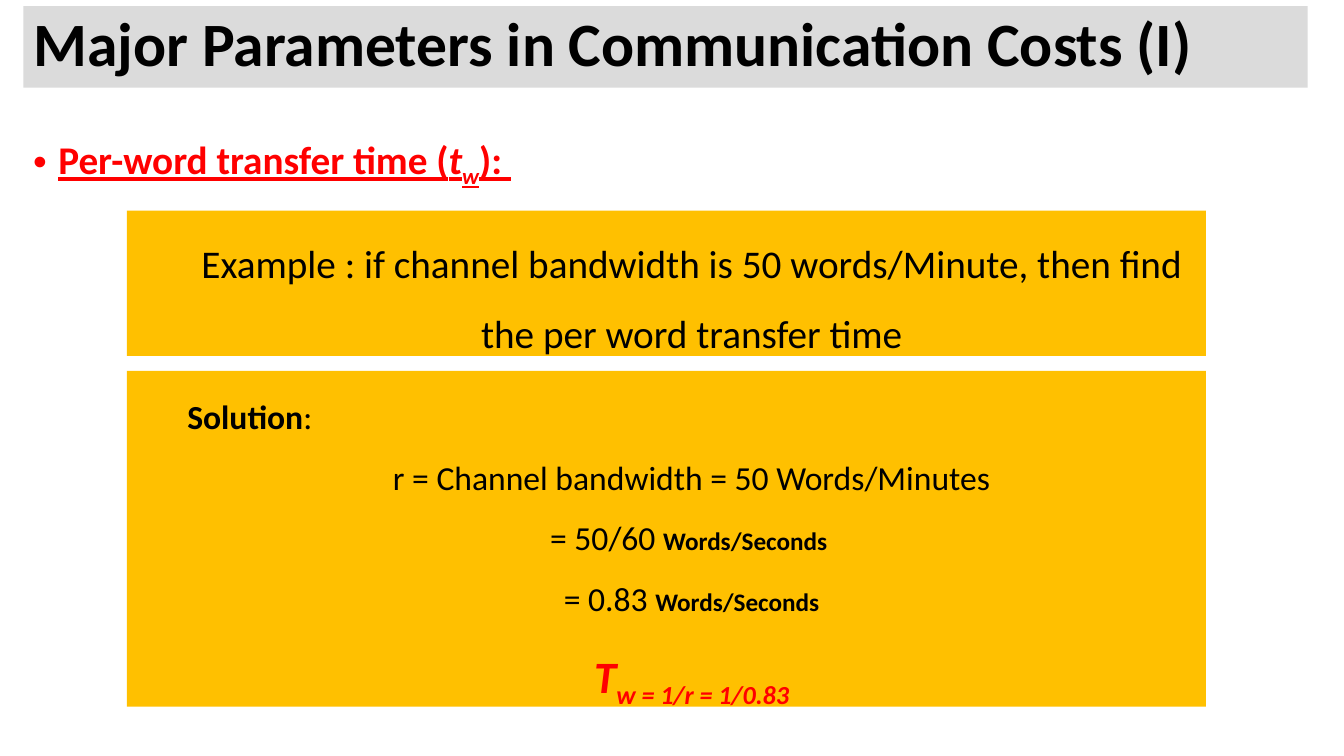
from dataclasses import dataclass

from lxml import etree
from pptx import Presentation, util as u
from pptx.dml.color import RGBColor
from pptx.enum import shapes, text
from pptx.oxml.ns import qn


@dataclass(frozen=True)
class Theme:
    font: str = "Calibri"
    ink: str = "000000"
    accent: str = "FF0000"
    band: str = "DBDBDB"
    panel: str = "FFC000"
    title: int = 44
    lead: int = 28
    body: int = 24
    unit: int = 18
    result: int = 32


class SlideBuilder:
    """Adds styled elements to one slide; areas are percentages of its size."""

    def __init__(self, presentation, theme):
        self.presentation = presentation
        self.theme = theme
        self.slide = presentation.slides.add_slide(presentation.slide_layouts[5])

    def box(self, left, top, width, height):
        across = self.presentation.slide_width / 100
        down = self.presentation.slide_height / 100
        return [u.Emu(round(share * unit)) for share, unit in
                zip((left, top, width, height), (across, down, across, down))]

    def fill(self, shape, color):
        shape.fill.solid()
        shape.fill.fore_color.rgb = RGBColor.from_string(color)

    def set_runs(self, paragraph, runs, size, color=None,
                 alignment=text.PP_ALIGN.LEFT, spacing=1.5, margin=0, indent=0):
        """Fill a paragraph with (wording, format overrides) runs."""
        paragraph.alignment = alignment
        paragraph.line_spacing = spacing
        paragraph.space_before = u.Pt(0)
        properties = paragraph._p.get_or_add_pPr()
        properties.set("marL", str(u.Inches(margin)))
        properties.set("indent", str(u.Inches(indent)))
        for wording, style in runs:
            run = paragraph.add_run()
            run.text = wording
            font = run.font
            font.name = self.theme.font
            font.size = u.Pt(style.get("size", size))
            font.color.rgb = RGBColor.from_string(color or self.theme.ink)
            font.bold = style.get("bold", False)
            font.italic = style.get("italic", False)
            font.underline = style.get("underline", False)
            if style.get("subscript"):
                font._element.set("baseline", "-25000")

    def title(self, wording, area):
        shape = self.slide.shapes.title
        shape.left, shape.top, shape.width, shape.height = self.box(*area)
        self.fill(shape, self.theme.band)
        frame = shape.text_frame
        frame.vertical_anchor = text.MSO_ANCHOR.MIDDLE
        frame.auto_size = text.MSO_AUTO_SIZE.NONE
        self.set_runs(frame.paragraphs[0], [(wording, {"bold": True})],
                      self.theme.title, spacing=0.9)

    def bullet(self, runs, area):
        frame = self.slide.shapes.add_textbox(*self.box(*area)).text_frame
        frame.word_wrap = True
        paragraph = frame.paragraphs[0]
        self.set_runs(paragraph, runs, self.theme.lead, self.theme.accent,
                      text.PP_ALIGN.JUSTIFY, margin=0.25, indent=-0.25)
        paragraph.space_before = u.Pt(10)
        properties = paragraph._p.get_or_add_pPr()
        etree.SubElement(properties, qn("a:buFont")).set("typeface", "Arial")
        etree.SubElement(properties, qn("a:buChar")).set("char", "•")

    def panel(self, lines, area):
        """Add a filled box with one paragraph per (runs, format) line."""
        shape = self.slide.shapes.add_shape(
            shapes.MSO_SHAPE.RECTANGLE, *self.box(*area))
        shape.shadow.inherit = False
        self.fill(shape, self.theme.panel)
        shape.line.fill.background()
        frame = shape.text_frame
        frame.word_wrap = True
        frame.vertical_anchor = text.MSO_ANCHOR.TOP
        frame.auto_size = text.MSO_AUTO_SIZE.SHAPE_TO_FIT_TEXT
        for index, (runs, style) in enumerate(lines):
            paragraph = frame.add_paragraph() if index else frame.paragraphs[0]
            paragraph.level = 1
            self.set_runs(paragraph, runs, margin=0.5,
                          **{"size": self.theme.body,
                             "alignment": text.PP_ALIGN.CENTER, **style})


def main():
    presentation = Presentation()
    presentation.slide_width = u.Inches(13.33)
    presentation.slide_height = u.Inches(7.5)
    theme = Theme()
    builder = SlideBuilder(presentation, theme)

    builder.title("Major Parameters in Communication Costs (I)",
                  (1.73, 0.8, 95.57, 10.8))

    heading = {"bold": True, "underline": True}
    symbol = {**heading, "italic": True}
    builder.bullet([("Per-word transfer time (", heading), ("t", symbol),
                    ("w", {**symbol, "subscript": True}), ("): ", heading)],
                   (1.73, 13.73, 95.57, 82.27))

    panel_left, panel_width = 9.45, 80.27
    builder.panel([
        ([("Example : if channel bandwidth is 50 words/Minute, "
           "then find the per word transfer time", {})], {"size": theme.lead}),
    ], (panel_left, 27.87, panel_width, 19.2))

    unit = {"size": theme.unit, "bold": True}
    result = {"bold": True, "italic": True}
    builder.panel([
        ([("Solution", {"bold": True}), (":", {})],
         {"alignment": text.PP_ALIGN.LEFT}),
        ([("r = Channel bandwidth = 50 Words/Minutes", {})], {}),
        ([("= 50/60 ", {}), ("Words/Seconds ", unit)], {}),
        ([("= 0.83 ", {}), ("Words/Seconds", unit)], {}),
        ([("T", result), ("w = 1/r = 1/0.83", {**result, "subscript": True})],
         {"size": theme.result, "color": theme.accent}),
    ], (panel_left, 49.07, panel_width, 44.4))

    presentation.save("out.pptx")


if __name__ == "__main__":
    main()
